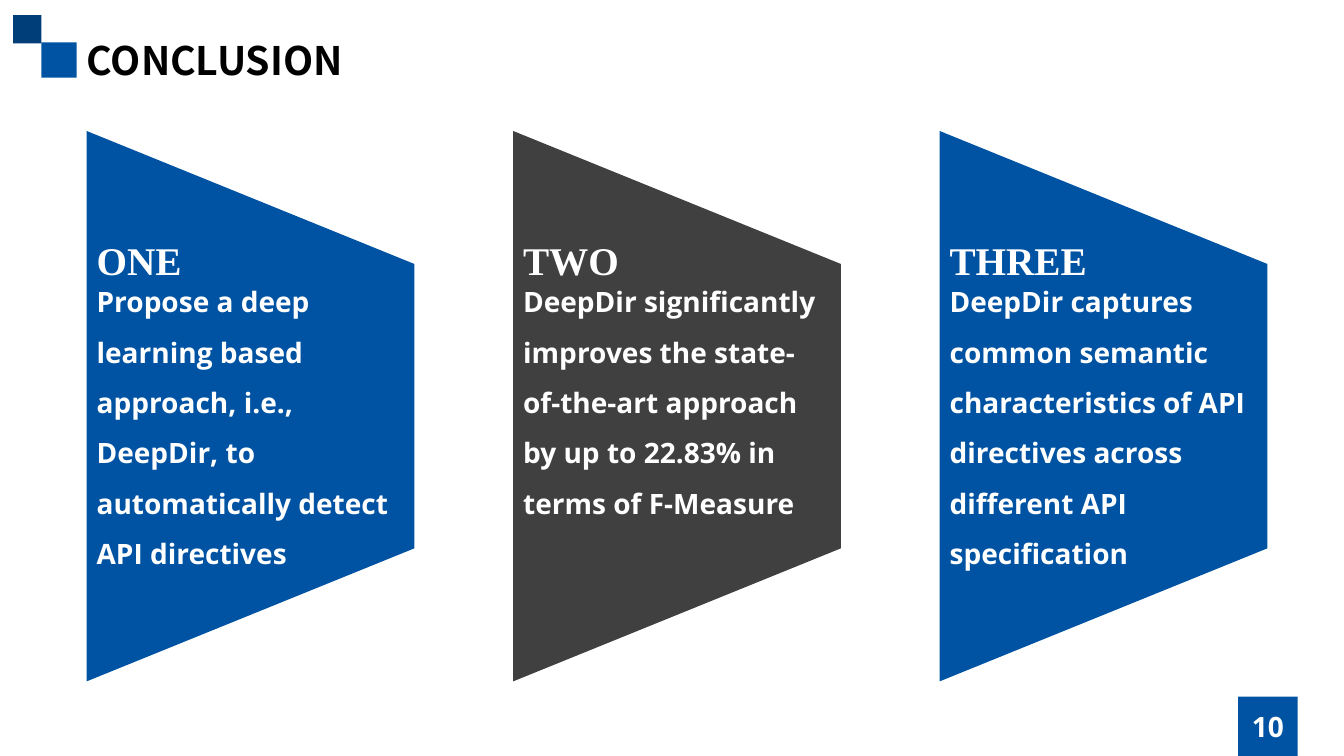
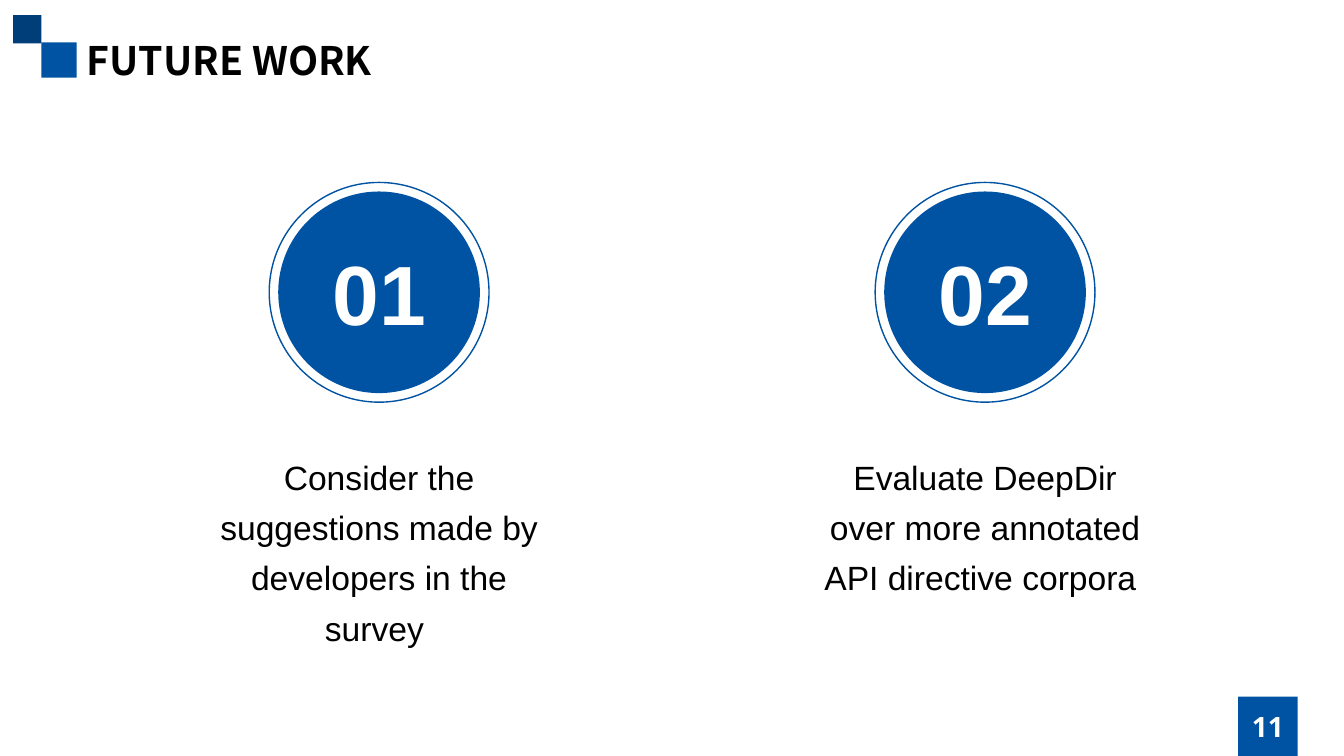
from dataclasses import dataclass

from pptx import Presentation
from pptx.dml.color import RGBColor as Rgb
from pptx.enum.shapes import MSO_SHAPE as Preset
from pptx.enum.text import MSO_ANCHOR as Anchor, MSO_AUTO_SIZE as AutoSize, PP_ALIGN as Align
from pptx.util import Inches, Pt


@dataclass(frozen=True)
class TextStyle:
    """Font, size, colour and paragraph settings of one kind of text."""
    font: str
    size: int
    color: str
    bold: bool = True
    align: Align = Align.LEFT
    spacing: float = 1.0


@dataclass(frozen=True)
class Theme:
    """Colours and text styles of the deck."""
    blue: str = "0053A3"
    navy: str = "003E7A"
    gray: str = "404040"
    title: TextStyle = TextStyle("Noto Sans CJK SC", 28, "000000")
    page_number: TextStyle = TextStyle("Open Sans", 20, "FFFFFF", align=Align.CENTER)
    card_heading: TextStyle = TextStyle("Times New Roman", 28, "FFFFFF", spacing=1.5)
    card_body: TextStyle = TextStyle("Open Sans", 20, "FFFFFF", spacing=1.5)
    badge: TextStyle = TextStyle("Arial", 60, "FFFFFF", align=Align.CENTER)
    caption: TextStyle = TextStyle("Arial", 24, "000000", bold=False,
                                   align=Align.CENTER, spacing=1.25)


@dataclass(frozen=True)
class Box:
    """A rectangle on the slide, in inches."""
    left: float
    top: float
    width: float
    height: float

    def emu(self):
        """Return the four lengths for python-pptx."""
        return [Inches(n) for n in (self.left, self.top, self.width, self.height)]

    def grown(self, margin_x, margin_y):
        """Return the box enlarged around its centre."""
        return Box(self.left - margin_x, self.top - margin_y,
                   self.width + 2 * margin_x, self.height + 2 * margin_y)


THEME = Theme()

CONCLUSIONS = [
    ("ONE", "Propose a deep learning based approach, i.e., DeepDir, "
            "to automatically detect API directives", THEME.blue),
    ("TWO", "DeepDir significantly improves the state-of-the-art approach "
            "by up to 22.83% in terms of F-Measure", THEME.gray),
    ("THREE", "DeepDir captures common semantic characteristics of API directives "
              "across different API specification", THEME.blue),
]
FUTURE_STEPS = [
    ("01", "Consider the suggestions made by developers in the survey "),
    ("02", "Evaluate DeepDir over more annotated API directive corpora "),
]


def write(frame, text, style, anchor=Anchor.TOP):
    """Put one styled paragraph in a text frame."""
    frame.text = text
    frame.word_wrap = True
    frame.auto_size = AutoSize.NONE
    frame.vertical_anchor = anchor
    para = frame.paragraphs[0]
    para.alignment = style.align
    para.line_spacing = style.spacing
    font = para.runs[0].font
    font.name = style.font
    font.size = Pt(style.size)
    font.bold = style.bold
    font.color.rgb = Rgb.from_string(style.color)


def add_text(page, box, text, style):
    """Add a wrapped text box."""
    write(page.shapes.add_textbox(*box.emu()).text_frame, text, style)


def add_preset(shapes, preset, box, fill=None, line=None):
    """Add a flat preset shape with an optional fill and outline."""
    shape = shapes.add_shape(preset, *box.emu())
    shape.shadow.inherit = False
    if fill:
        shape.fill.solid()
        shape.fill.fore_color.rgb = Rgb.from_string(fill)
    else:
        shape.fill.background()
    if line:
        shape.line.color.rgb = Rgb.from_string(line)
        shape.line.width = Pt(1)
    else:
        shape.line.fill.background()
    return shape


def add_page(deck, title, number):
    """Add a slide with the title, corner squares and page number."""
    page = deck.slides.add_slide(deck.slide_layouts[5])
    add_preset(page.shapes, Preset.RECTANGLE, Box(0.41, 0.42, 0.35, 0.35), THEME.blue)
    add_preset(page.shapes, Preset.RECTANGLE, Box(0.13, 0.15, 0.28, 0.28), THEME.navy)
    tab = add_preset(page.shapes, Preset.RECTANGLE, Box(12.28, 6.91, 0.59, 0.59), THEME.blue)
    frame = tab.text_frame
    frame.margin_left = frame.margin_right = 0
    write(frame, str(number), THEME.page_number, Anchor.MIDDLE)
    heading = page.shapes.title
    heading.left, heading.top, heading.width, heading.height = Box(0.76, 0.31, 11.81, 0.57).emu()
    write(heading.text_frame, title, THEME.title)
    return page


def add_card(page, box, heading, body, fill):
    """Draw a sideways trapezoid with a heading and body text."""
    turn = (box.height - box.width) / 2
    panel = add_preset(page.shapes, Preset.TRAPEZOID, box.grown(turn, -turn), fill)
    panel.rotation = 90
    panel.adjustments[0] = 0.406
    add_text(page, Box(box.left, box.top + 0.76, box.width, 0.72), heading, THEME.card_heading)
    add_text(page, Box(box.left, box.top + 1.31, box.width, 3.57), body, THEME.card_body)


def add_step(page, box, number, caption):
    """Draw a ringed number with a caption centred below it."""
    size, ring_gap = 2, 0.09
    disc = Box(box.left + (box.width - size) / 2, box.top + ring_gap, size, size)
    group = page.shapes.add_group_shape()
    badge = add_preset(group.shapes, Preset.OVAL, disc, THEME.blue)
    write(badge.text_frame, number, THEME.badge, Anchor.MIDDLE)
    add_preset(group.shapes, Preset.OVAL, disc.grown(ring_gap, ring_gap), line=THEME.blue)
    add_text(page, Box(box.left, box.top + 2.57, box.width, box.height - 2.57),
             caption, THEME.caption)


def build_conclusion(deck):
    """Build the slide with three conclusion cards."""
    page = add_page(deck, "CONCLUSION", 10)
    for index, (heading, body, fill) in enumerate(CONCLUSIONS):
        add_card(page, Box(0.86 + 4.23 * index, 1.3, 3.25, 5.46), heading, body, fill)


def build_future_work(deck):
    """Build the slide with two numbered next steps."""
    page = add_page(deck, "FUTURE WORK", 11)
    for index, (number, caption) in enumerate(FUTURE_STEPS):
        add_step(page, Box(2.01 + 6.01 * index, 1.81, 3.5, 4.7), number, caption)


def main():
    """Build and save the deck."""
    deck = Presentation()
    deck.slide_width, deck.slide_height = Inches(13.33), Inches(7.5)
    build_conclusion(deck)
    build_future_work(deck)
    deck.save("out.pptx")


if __name__ == "__main__":
    main()
